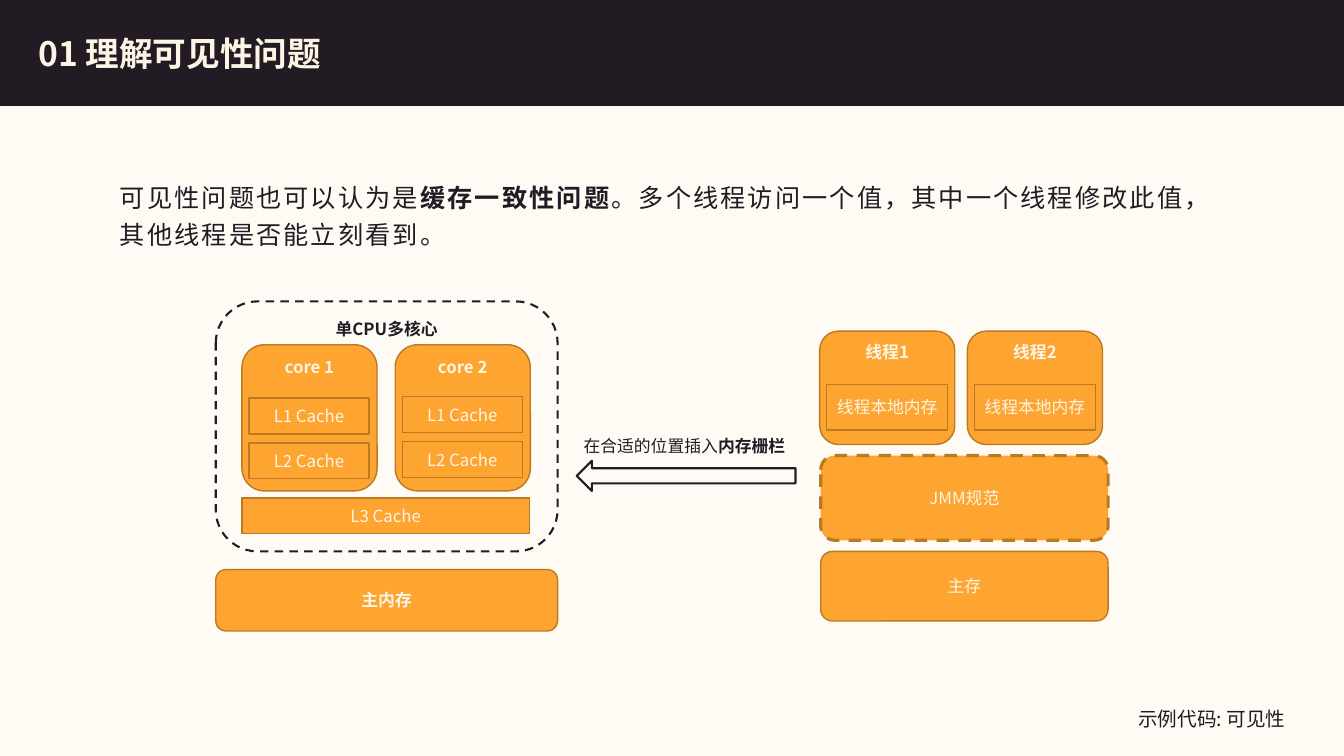
import dataclasses

import lxml.etree
import pptx
import pptx.dml.color
import pptx.enum.dml
import pptx.enum.shapes
import pptx.enum.text
import pptx.oxml.ns
import pptx.util

SHAPE = pptx.enum.shapes.MSO_SHAPE
ANCHOR = pptx.enum.text.MSO_ANCHOR
ALIGN = pptx.enum.text.PP_ALIGN
CELL = pptx.util.Inches(0.1)


@dataclasses.dataclass(frozen=True)
class Theme:
    dark: str = "231B23"
    cream: str = "FCF5E5"
    paper: str = "FEFBF5"
    orange: str = "FDA431"
    brown: str = "BB7924"
    sans: str = "Noto Sans CJK JP"
    chinese: str = "Noto Sans CJK SC"
    latin: str = "Arial"
    title: int = 24
    body: int = 18
    note: int = 14
    label: int = 12


THEME = Theme()


def cells(*counts):
    return [round(count * CELL) for count in counts]


def rgb(code):
    return pptx.dml.color.RGBColor.from_string(code)


def set_face(font, face):
    font.name = face
    east_face = THEME.chinese if face == THEME.latin else face
    east = lxml.etree.Element(pptx.oxml.ns.qn("a:ea"), typeface=east_face)
    font._element.find(pptx.oxml.ns.qn("a:latin")).addnext(east)


def write(frame, parts, size, color, face=THEME.sans, bold=False, align=ALIGN.LEFT):
    para = frame.paragraphs[0]
    para.alignment = align
    para.font.size = pptx.util.Pt(size)
    para.font.bold = bold
    para.font.color.rgb = rgb(color)
    set_face(para.font, face)
    for text, strong_face in parts:
        span = para.add_run()
        span.text = text
        if strong_face:
            span.font.bold = True
            set_face(span.font, strong_face)
    return para


def add_box(page, kind, place, fill=THEME.orange, line=THEME.brown, width=1, dash=False):
    box = page.shapes.add_shape(kind, *cells(*place))
    box.shadow.inherit = False
    if fill:
        box.fill.solid()
        box.fill.fore_color.rgb = rgb(fill)
    else:
        box.fill.background()
    box.line.color.rgb = rgb(line)
    box.line.width = pptx.util.Pt(width)
    if dash:
        box.line.dash_style = pptx.enum.dml.MSO_LINE.DASH
    return box


def add_labelled(page, kind, place, text, anchor=ANCHOR.MIDDLE, bold=False,
                 face=THEME.sans, color=THEME.cream, **style):
    box = add_box(page, kind, place, **style)
    frame = box.text_frame
    frame.word_wrap = True
    frame.margin_left = frame.margin_right = 0
    frame.vertical_anchor = anchor
    write(frame, [(text, None)], THEME.label, color, face, bold, ALIGN.CENTER)


def add_note(page, place, parts, size):
    box = page.shapes.add_textbox(*cells(*place))
    box.text_frame.word_wrap = False
    write(box.text_frame, parts, size, THEME.dark)


def place_text(holder, place, anchor):
    holder.left, holder.top, holder.width, holder.height = cells(*place)
    frame = holder.text_frame
    frame.word_wrap = True
    frame.auto_size = pptx.enum.text.MSO_AUTO_SIZE.NONE
    frame.vertical_anchor = anchor
    return frame


def add_heading(page, width):
    band = add_box(page, SHAPE.RECTANGLE, (0, 0, width, 10.5), THEME.dark, THEME.dark)
    page.shapes._spTree.insert(2, band._element)
    frame = place_text(page.shapes.title, (2.8, 2.3, 99.4, 5.9), ANCHOR.MIDDLE)
    write(frame, [("01 理解可见性问题", None)], THEME.title, THEME.cream, bold=True)


def add_statement(page):
    frame = place_text(page.placeholders[1], (10.9, 16.9, 111.6, 12), ANCHOR.TOP)
    properties = frame.paragraphs[0]._p.get_or_add_pPr()
    properties.set("marL", "0")
    properties.set("indent", "0")
    lxml.etree.SubElement(properties, pptx.oxml.ns.qn("a:buNone"))
    para = write(frame, [
        ("可见性问题也可以认为是", None),
        ("缓存一致性问题", THEME.chinese),
        ("。多个线程访问一个值，其中一个线程修改此值，其他线程是否能立刻看到。", None),
    ], THEME.body, THEME.dark, THEME.chinese)
    para.line_spacing = 1.23
    para.space_before = pptx.util.Pt(0)
    for span in para.runs:
        span.font._element.set("spc", "150")


def add_processor(page):
    add_labelled(page, SHAPE.ROUNDED_RECTANGLE, (21.4, 29.9, 33.9, 24.8), "单CPU多核心",
                 ANCHOR.TOP, True, color=THEME.dark, fill=None, line=THEME.dark,
                 width=1.5, dash=True)
    for core in range(2):
        left = 24 + 15.2 * core
        add_labelled(page, SHAPE.ROUNDED_RECTANGLE, (left, 34.2, 13.4, 14.5),
                     f"core {core + 1}", ANCHOR.TOP, True)
        for level in range(2):
            top = 39.5 - 0.15 * core + 4.45 * level
            add_labelled(page, SHAPE.RECTANGLE, (left + 0.7, top, 11.9, 3.55),
                         f"L{level + 1} Cache")
    add_labelled(page, SHAPE.RECTANGLE, (24, 49.4, 28.5, 3.5), "L3 Cache")
    add_labelled(page, SHAPE.ROUNDED_RECTANGLE, (21.4, 56.5, 33.9, 6.1), "主内存",
                 bold=True, face=THEME.latin)


def add_thread_model(page):
    for thread in range(2):
        left = 81.3 + 14.65 * thread
        add_labelled(page, SHAPE.ROUNDED_RECTANGLE, (left, 32.85, 13.4, 11.25),
                     f"线程{thread + 1}", ANCHOR.TOP, True)
        add_labelled(page, SHAPE.RECTANGLE, (left + 0.7, 38.15, 12, 4.5), "线程本地内存")
    add_labelled(page, SHAPE.ROUNDED_RECTANGLE, (81.4, 54.7, 28.5, 6.9), "主存")
    add_labelled(page, SHAPE.ROUNDED_RECTANGLE, (81.4, 45.2, 28.5, 8.4), "JMM规范",
                 width=2.25, dash=True)


def add_barrier(page):
    arrow = add_box(page, SHAPE.RIGHT_ARROW, (57.2, 45.7, 21.7, 3), None, THEME.dark, 1.5)
    arrow.rotation = 180
    add_note(page, (56.9, 42.7, 22, 3),
             [("在合适的位置插入", None), ("内存栅栏", THEME.latin)], THEME.label)


def main():
    deck = pptx.Presentation()
    deck.slide_width = pptx.util.Inches(13.33)
    deck.slide_height = pptx.util.Inches(7.5)
    page = deck.slides.add_slide(deck.slide_layouts[1])
    page.background.fill.solid()
    page.background.fill.fore_color.rgb = rgb(THEME.paper)
    add_heading(page, deck.slide_width / CELL)
    add_statement(page)
    add_processor(page)
    add_thread_model(page)
    add_barrier(page)
    add_note(page, (111.9, 69.6, 20, 3.4), [("示例代码: 可见性", None)], THEME.note)
    deck.save("out.pptx")


if __name__ == "__main__":
    main()
